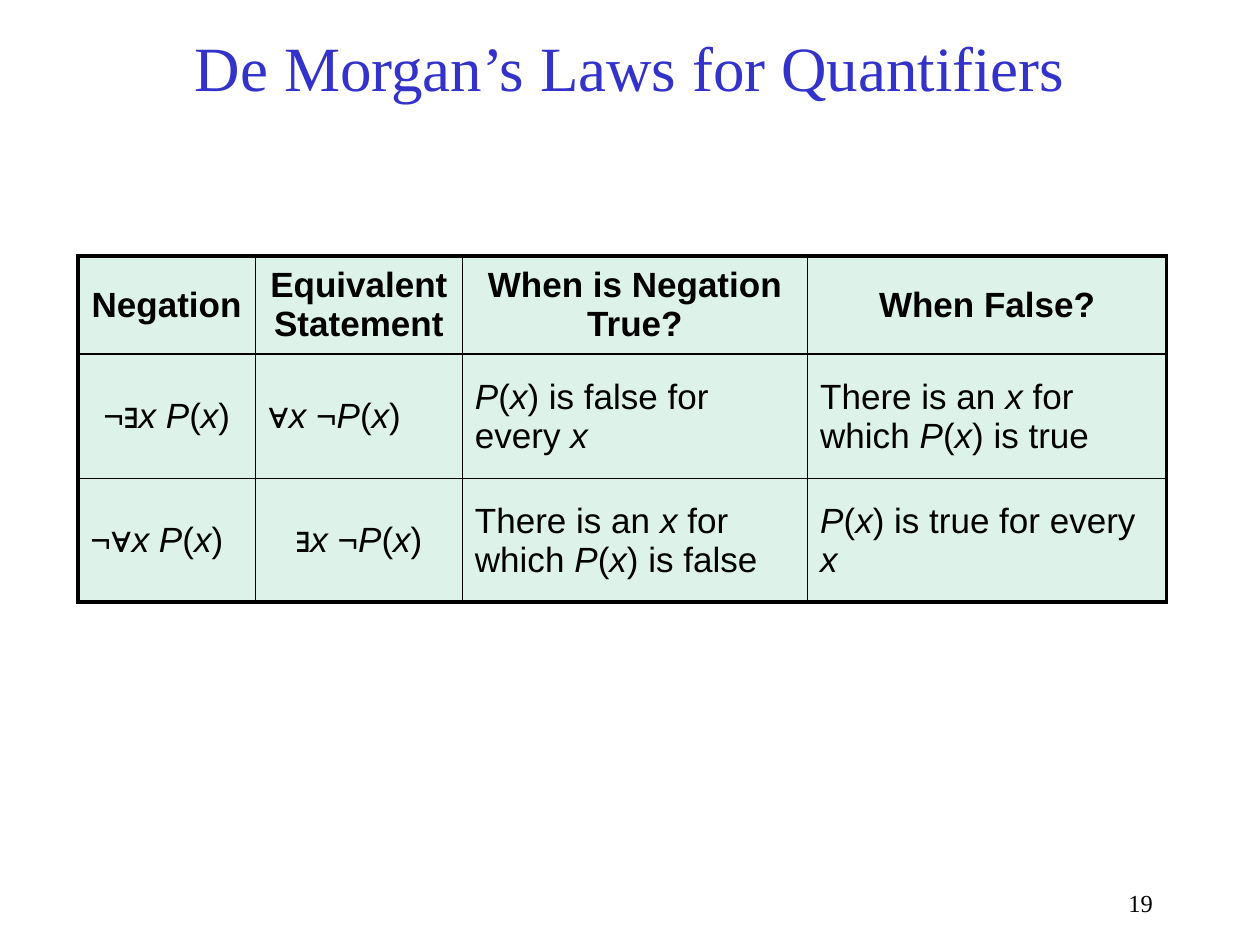
from lxml import etree
from pptx import Presentation
from pptx.dml.color import RGBColor
from pptx.enum.text import MSO_ANCHOR, MSO_AUTO_SIZE, PP_ALIGN
from pptx.oxml.ns import qn
from pptx.util import Cm, Pt

LEFT, CENTER, RIGHT = PP_ALIGN.LEFT, PP_ALIGN.CENTER, PP_ALIGN.RIGHT
MIDDLE = MSO_ANCHOR.MIDDLE
NO_AUTOFIT = MSO_AUTO_SIZE.NONE
TITLE_ONLY = 5

BLACK, BLUE, MINT = "000000", "3333CC", "DDF3EA"
OUTER_LINE, INNER_LINE = 2.25, 1

COLUMN_WIDTHS = [3.58, 4.17, 6.96, 7.24]
ROW_HEIGHTS = [1.98, 2.51, 2.49]
# Asterisks enclose italic text
LAWS = [
    ["Negation", "Equivalent Statement", "When is Negation True?", "When False?"],
    ["¬∃*x P*(*x*)", "∀*x *¬*P*(*x*)",
     "*P*(*x*) is false for every *x*", "There is an *x* for which *P*(*x*) is true"],
    ["¬∀*x P*(*x*)", "∃*x *¬*P*(*x*)",
     "There is an *x* for which *P*(*x*) is false", "*P*(*x*) is true for every *x*"],
]
CENTERED_FORMULAS = {(1, 0), (2, 1)}


def color(hex_string):
    return RGBColor.from_string(hex_string)


def style(para, name, size, hex_color, align, bold=False):
    para.alignment = align
    font = para.font
    font.name, font.size, font.bold = name, Pt(size), bold
    font.color.rgb = color(hex_color)


def add_title(page, text, left, top, width, height):
    title = page.shapes.title
    title.left, title.top = Cm(left), Cm(top)
    title.width, title.height = Cm(width), Cm(height)
    frame = title.text_frame
    frame.text = text
    frame.auto_size = NO_AUTOFIT
    frame.vertical_anchor = MIDDLE
    style(frame.paragraphs[0], "Times New Roman", 36, BLUE, CENTER)


def set_borders(cell, widths):
    """Draw the left, right, top and bottom borders, given in points."""
    properties = cell._tc.get_or_add_tcPr()
    for index, (side, width) in enumerate(zip("LRTB", widths)):
        line = etree.Element(qn(f"a:ln{side}"), w=str(Pt(width)))
        fill = etree.SubElement(line, qn("a:solidFill"))
        etree.SubElement(fill, qn("a:srgbClr"), val=BLACK)
        properties.insert(index, line)


def fill_cell(cell, text, align, bold, edges):
    cell.fill.solid()
    cell.fill.fore_color.rgb = color(MINT)
    cell.vertical_anchor = MIDDLE
    para = cell.text_frame.paragraphs[0]
    style(para, "Arial", 20, BLACK, align, bold)
    for index, part in enumerate(text.split("*")):
        if part:
            span = para.add_run()
            span.text = part
            span.font.italic = index % 2 == 1
    set_borders(cell, [OUTER_LINE if edge else INNER_LINE for edge in edges])


def add_laws_table(page, left, top):
    last_row, last_column = len(ROW_HEIGHTS) - 1, len(COLUMN_WIDTHS) - 1
    table = page.shapes.add_table(
        len(ROW_HEIGHTS), len(COLUMN_WIDTHS), Cm(left), Cm(top),
        Cm(sum(COLUMN_WIDTHS)), Cm(sum(ROW_HEIGHTS))).table
    table.horz_banding = False
    for column, width in zip(table.columns, COLUMN_WIDTHS):
        column.width = Cm(width)
    for r, (row, height) in enumerate(zip(table.rows, ROW_HEIGHTS)):
        row.height = Cm(height)
        for c, text in enumerate(LAWS[r]):
            header = r == 0
            align = CENTER if header or (r, c) in CENTERED_FORMULAS else LEFT
            edges = (c == 0, c == last_column, header, r == last_row)
            fill_cell(table.cell(r, c), text, align, header, edges)


def add_page_number(page, text, left, top, width, height):
    box = page.shapes.add_textbox(Cm(left), Cm(top), Cm(width), Cm(height))
    frame = box.text_frame
    frame.word_wrap = True
    frame.text = text
    style(frame.paragraphs[0], "Times New Roman", 14, BLACK, RIGHT)


def main():
    deck = Presentation()
    deck.slide_width, deck.slide_height = Cm(25.4), Cm(19.05)
    page = deck.slides.add_slide(deck.slide_layouts[TITLE_ONLY])
    add_title(page, "De Morgan’s Laws for Quantifiers", 1.9, 0.33, 21.6, 2)
    add_laws_table(page, 1.57, 5.16)
    add_page_number(page, "19", 19.48, 17.78, 4.01, 0.84)
    deck.save("out.pptx")


if __name__ == "__main__":
    main()
